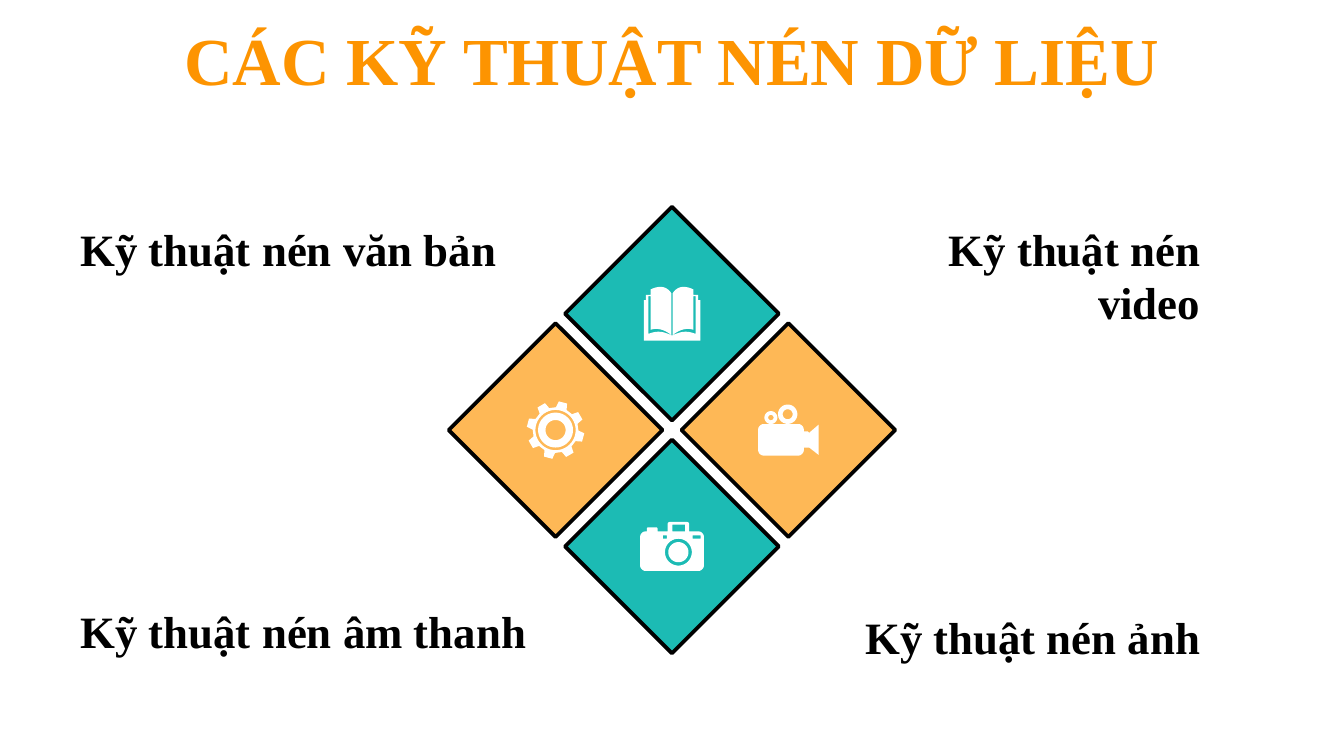
import math

import pptx
import pptx.dml.color
import pptx.enum.shapes
import pptx.enum.text
import pptx.util
from lxml import etree
from pptx.util import Cm

# Content
TITLE = "CÁC KỸ THUẬT NÉN DỮ LIỆU"
FONT = "Times New Roman"
COLOURS = {"title": "FD9401", "text": "000000", "teal": "1CBBB4",
           "amber": "FEB856", "icon": "FFFFFF"}
ALIGN = pptx.enum.text.PP_ALIGN
# text, left, top, width (cm), alignment
LABELS = [
    ("Kỹ thuật nén văn bản", 1.27, 4.06, 8.69, ALIGN.LEFT),
    ("Kỹ thuật nén âm thanh", 1.27, 11.28, 9.37, ALIGN.LEFT),
    ("Kỹ thuật nén video", 15.54, 4.06, 7.39, ALIGN.RIGHT),
    ("Kỹ thuật nén ảnh", 15.54, 11.4, 7.39, ALIGN.RIGHT),
]
# column, row, fill, icon: steps from the hub
DIAMONDS = [(0, -1, "teal", "book"), (0, 1, "teal", "camera"),
            (1, 0, "amber", "video"), (-1, 0, "amber", "gear")]
HUB_X, HUB_Y, STEP, DIAMOND = 12.7, 8.13, 2.2, 4.04
ICON_UNIT = Cm(2.54) / 100


# Outline helpers: each returns the points of one closed contour
def bezier(a, b, c, d, steps=10):
    curve = []
    for i in range(steps + 1):
        t = i / steps
        weights = ((1 - t) ** 3, 3 * t * (1 - t) ** 2, 3 * t * t * (1 - t), t ** 3)
        curve.append(tuple(sum(w * p[k] for w, p in zip(weights, (a, b, c, d)))
                           for k in (0, 1)))
    return curve


def polar(cx, cy, radius, degrees):
    angle = math.radians(degrees)
    return cx + radius * math.cos(angle), cy + radius * math.sin(angle)


def circle(cx, cy, radius):
    return [polar(cx, cy, radius, a) for a in range(0, 360, 9)]


def box(left, top, right, bottom):
    return [(left, top), (right, top), (right, bottom), (left, bottom)]


def rounded(corners):
    """Round each (x, y, radius) corner; radius 0 stays sharp."""
    outline = []
    for i, (x, y, radius) in enumerate(corners):
        if not radius:
            outline.append((x, y))
            continue
        ends = []
        for nx, ny, _ in (corners[i - 1], corners[(i + 1) % len(corners)]):
            share = radius / math.dist((x, y), (nx, ny))
            ends.append((x + (nx - x) * share, y + (ny - y) * share))
        controls = [((ex + x) / 2, (ey + y) / 2) for ex, ey in ends]
        outline += bezier(ends[0], *controls, ends[1], steps=5)
    return outline


def mirrored(points, width):
    return [(width - x, y) for x, y in reversed(points)]


# Icons, in hundredths of an inch
def book():
    page = (bezier((5, 2), (11, -1), (17, -1), (20.6, 5))
            + bezier((20.6, 36), (15, 31.5), (10, 30.5), (5, 32)))
    cover = ([(0, 40), (0, 10), (1.5, 10), (1.5, 6), (5, 6), (5, 7), (3.5, 7)]
             + bezier((3.5, 35), (10, 32.5), (14, 33), (21, 36.3)))
    return [cover + mirrored(cover, 42), page, mirrored(page, 42)]


def camera():
    body = rounded([(0, 7, 4), (5, 7, 0), (5, 4, 1), (13, 4, 1), (13, 7, 0),
                    (20.5, 7, 0), (20.5, 0, 1.5), (36.5, 0, 1.5), (36.5, 7, 0),
                    (47.5, 7, 4), (47.5, 36.5, 4), (0, 36.5, 4)])
    return [body, box(24, 2, 33.5, 7), box(17, 10, 20, 12.5),
            box(39, 10, 45, 12.5), circle(28.5, 22.5, 10), circle(28.5, 22.5, 7.5)]


def video():
    body = rounded([(0, 14.5, 4), (34, 14.5, 4), (34, 20, 0), (37, 20, 0),
                    (38, 21, 0), (45, 15, 0), (45, 37.5, 0), (38, 32, 0),
                    (34, 32, 0), (34, 38, 4), (0, 38, 4)])
    return [body, circle(22, 7.2, 7.2), circle(22, 7.2, 3.7),
            circle(9.5, 9.7, 4.8), circle(9.5, 9.7, 2)]


def gear():
    rim = [polar(0, 0, radius, tooth * 45 - 75 + turn) for tooth in range(8)
           for radius, turn in ((17, -14), (21.5, -8.5), (21.5, 8.5), (17, 14))]
    return [rim] + [circle(0, 0, radius) for radius in (15, 13, 7.5)]


ICONS = {"book": book, "camera": camera, "video": video, "gear": gear}


def rgb(name):
    return pptx.dml.color.RGBColor.from_string(COLOURS[name])


def write(holder, text, size, colour, align):
    frame = holder.text_frame
    frame.text = text
    frame.word_wrap = True
    paragraph = frame.paragraphs[0]
    paragraph.alignment = align
    font = paragraph.runs[0].font
    font.name, font.size, font.bold = FONT, pptx.util.Pt(size), True
    font.color.rgb = rgb(colour)
    return frame


def fill_plain(shape, colour):
    shape.shadow.inherit = False
    shape.fill.solid()
    shape.fill.fore_color.rgb = rgb(colour)


def add_icon(slide, contours, cx, cy):
    """Draw the contours as one shape centred on (cx, cy)."""
    xs, ys = zip(*(point for contour in contours for point in contour))
    mid_x, mid_y = (min(xs) + max(xs)) / 2, (min(ys) + max(ys)) / 2
    placed = [[(cx + (x - mid_x) * ICON_UNIT, cy + (y - mid_y) * ICON_UNIT)
               for x, y in contour] for contour in contours]
    builder = slide.shapes.build_freeform(*placed[0][0])
    builder.add_line_segments(placed[0][1:], close=True)
    for contour in placed[1:]:
        builder.move_to(*contour[0])
        builder.add_line_segments(contour[1:], close=True)
    icon = builder.convert_to_shape()
    fill_plain(icon, "icon")
    icon.line.fill.background()


def main():
    deck = pptx.Presentation()
    deck.slide_width, deck.slide_height = Cm(25.4), Cm(14.29)
    slide = deck.slides.add_slide(deck.slide_layouts[5])

    # Title
    title = slide.shapes.title
    title.left, title.top, title.width, title.height = Cm(0), Cm(0.03), Cm(25.4), Cm(2.16)
    frame = write(title, TITLE, 36, "title", ALIGN.CENTER)
    frame.vertical_anchor = pptx.enum.text.MSO_ANCHOR.MIDDLE
    frame.auto_size = pptx.enum.text.MSO_AUTO_SIZE.NONE

    # Diamonds around the hub, each with its icon
    for column, row, colour, icon in DIAMONDS:
        cx, cy = HUB_X + column * STEP, HUB_Y + row * STEP
        diamond = slide.shapes.add_shape(
            pptx.enum.shapes.MSO_SHAPE.DIAMOND, Cm(cx - DIAMOND / 2),
            Cm(cy - DIAMOND / 2), Cm(DIAMOND), Cm(DIAMOND))
        fill_plain(diamond, colour)
        diamond.line.color.rgb = rgb("text")
        diamond.line.width = pptx.util.Pt(2)
        etree.SubElement(diamond.line._get_or_add_ln(), pptx.oxml.ns.qn("a:round"))
        add_icon(slide, ICONS[icon](), Cm(cx), Cm(cy))

    # Labels
    for text, left, top, width, align in LABELS:
        label = slide.shapes.add_textbox(Cm(left), Cm(top), Cm(width), Cm(1.27))
        frame = write(label, text, 24, "text", align)
        frame.auto_size = pptx.enum.text.MSO_AUTO_SIZE.SHAPE_TO_FIT_TEXT

    deck.save("out.pptx")


if __name__ == "__main__":
    main()
